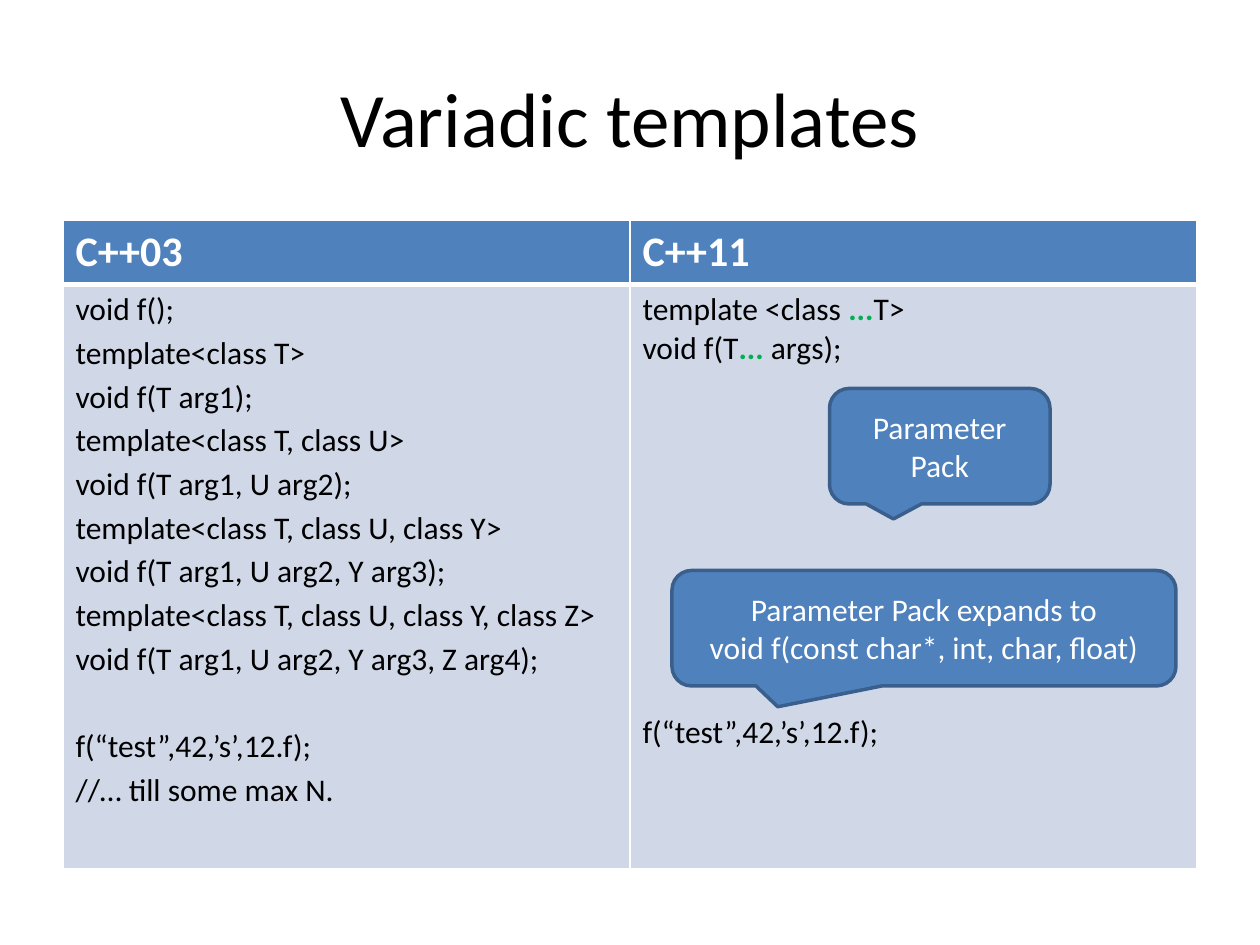
import pptx
import pptx.util
import pptx.dml.color
import pptx.enum.shapes
import pptx.enum.text
import pptx.oxml
import pptx.oxml.ns
from dataclasses import dataclass

Pt = pptx.util.Pt
RGB = pptx.dml.color.RGBColor.from_string
ALIGN = pptx.enum.text.PP_ALIGN
MIDDLE = pptx.enum.text.MSO_ANCHOR.MIDDLE


@dataclass
class Theme:
    font: str = "Calibri"
    title_size: int = 44
    header_size: int = 24
    body_size: int = 18
    black: str = "000000"
    white: str = "FFFFFF"
    blue: str = "4F81BD"
    outline: str = "3A5F8C"
    pale: str = "D0D8E8"
    green: str = "00B050"


theme = Theme()


def style(paragraph, size, color, bold=False, align=ALIGN.LEFT):
    paragraph.alignment = align
    for run in paragraph.runs:
        run.font.name = theme.font
        run.font.size = Pt(size)
        run.font.bold = bold
        run.font.color.rgb = RGB(color)


def set_borders(cell, widths):
    properties = cell._tc.get_or_add_tcPr()
    for position, (side, width) in enumerate(zip("LRTB", widths)):
        properties.insert(position, pptx.oxml.parse_xml(
            f'<a:ln{side} {pptx.oxml.ns.nsdecls("a")} w="{int(Pt(width))}">'
            f'<a:solidFill><a:srgbClr val="{theme.white}"/></a:solidFill></a:ln{side}>'))


presentation = pptx.Presentation()
presentation.slide_width, presentation.slide_height = Pt(720), Pt(540)
slide = presentation.slides.add_slide(presentation.slide_layouts[5])

# Title
title = slide.shapes.title
title.left, title.top, title.width, title.height = Pt(36), Pt(21.6), Pt(648), Pt(90)
title.text_frame.text = "Variadic templates"
title.text_frame.vertical_anchor = MIDDLE
style(title.text_frame.paragraphs[0], theme.title_size, theme.black, align=ALIGN.CENTER)

# Comparison table: each code line is (text, space before)
call = "f(“test”,42,’s’,12.f);"
cpp03 = [
    ("void f();", 0),
    ("template<class T>", 3),
    ("void f(T arg1);", 3),
    ("template<class T, class U>", 3),
    ("void f(T arg1, U arg2);", 3),
    ("template<class T, class U, class Y>", 3),
    ("void f(T arg1, U arg2, Y arg3);", 3),
    ("template<class T, class U, class Y, class Z>", 3),
    ("void f(T arg1, U arg2, Y arg3, Z arg4);", 3),
    (call, 28),
    ("//… till some max N.", 3),
]
cpp11 = [("template <class |...|T>", 0), ("void f(T|... |args);", 0), (call, 197.75)]

comparison = slide.shapes.add_table(2, 2, Pt(36), Pt(126), Pt(648), Pt(370)).table
comparison.rows[0].height, comparison.rows[1].height = Pt(36), Pt(334)

for column, (standard, code) in enumerate([("C++03", cpp03), ("C++11", cpp11)]):
    comparison.columns[column].width = Pt(324)
    header, body = comparison.cell(0, column), comparison.cell(1, column)
    for cell, fill, borders in [(header, theme.blue, (1, 1, 1, 3)),
                                (body, theme.pale, (1, 1, 3, 1))]:
        cell.fill.solid()
        cell.fill.fore_color.rgb = RGB(fill)
        set_borders(cell, borders)

    header.text_frame.text = standard
    style(header.text_frame.paragraphs[0], theme.header_size, theme.white, bold=True)

    for index, (line, gap) in enumerate(code):
        frame = body.text_frame
        paragraph = frame.paragraphs[0] if index == 0 else frame.add_paragraph()
        for part in line.split("|"):
            paragraph.add_run().text = part
        style(paragraph, theme.body_size, theme.black)
        if gap:
            paragraph.space_before = Pt(gap)
        # The ellipsis between the bars is highlighted
        for ellipsis in paragraph.runs[1:2]:
            ellipsis.font.bold = True
            ellipsis.font.color.rgb = RGB(theme.green)

# Callouts: left, top, width, pointer and corner adjustments, text
callouts = [
    (474, 222, 126, (-0.21, 0.63, 0.17), "Parameter Pack"),
    (384, 326, 288, (-0.29, 0.68, 0.17),
     "Parameter Pack expands to\nvoid f(const char*, int, char, float)"),
]
for left, top, width, adjustments, explanation in callouts:
    callout = slide.shapes.add_shape(
        pptx.enum.shapes.MSO_SHAPE.ROUNDED_RECTANGULAR_CALLOUT,
        Pt(left), Pt(top), Pt(width), Pt(66))
    for index, value in enumerate(adjustments):
        callout.adjustments[index] = value
    callout.shadow.inherit = False
    callout.fill.solid()
    callout.fill.fore_color.rgb = RGB(theme.blue)
    callout.line.color.rgb = RGB(theme.outline)
    callout.line.width = Pt(2)
    callout.text_frame.word_wrap = True
    callout.text_frame.vertical_anchor = MIDDLE
    callout.text_frame.text = explanation
    for paragraph in callout.text_frame.paragraphs:
        style(paragraph, theme.body_size, theme.white, align=ALIGN.CENTER)

presentation.save("out.pptx")
